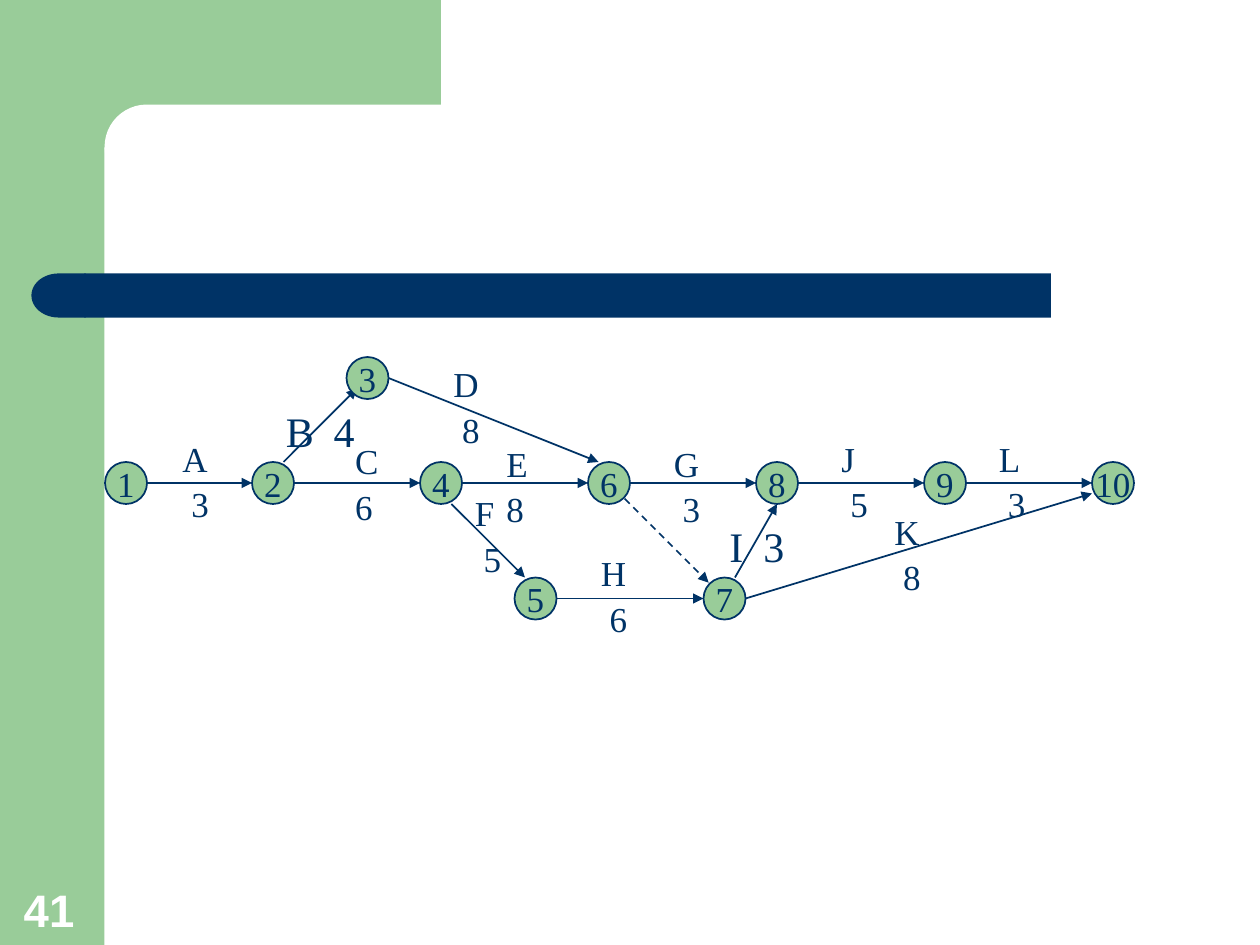
from dataclasses import dataclass

import pptx
import pptx.dml.color
import pptx.enum.dml
import pptx.enum.shapes
import pptx.enum.text
import pptx.oxml.ns
import pptx.util
from lxml import etree

Inches = pptx.util.Inches
Pt = pptx.util.Pt
Shapes = pptx.enum.shapes.MSO_SHAPE
Anchor = pptx.enum.text.MSO_ANCHOR
Align = pptx.enum.text.PP_ALIGN
AutoSize = pptx.enum.text.MSO_AUTO_SIZE
qn = pptx.oxml.ns.qn

COLORS = {"green": "99CC99", "navy": "003366", "white": "FFFFFF"}
GRID = 12  # grid steps per inch for the network
NODE_SIZE = 4  # grid steps
SPACE_INDENT = 0.07  # inches, one space at 20 pt
LABEL_FORMAT = {"name": "Times New Roman", "size": Pt(20)}
PAIR_FORMAT = {"name": "Times New Roman", "size": Pt(24)}
NUMBER_FORMAT = {"name": "Arial", "size": Pt(26), "bold": True}


@dataclass(frozen=True)
class Block:
    kind: int
    box: tuple[float, float, float, float]
    color: str
    corner: float | None = None
    flipped: bool = False


@dataclass(frozen=True)
class Activity:
    """An arrow between events; its ends are grid offsets from their centres."""
    start: int
    end: int
    leave: tuple[float, float] = (2, 0)
    arrive: tuple[float, float] = (-2, 0)
    dashed: bool = False


@dataclass(frozen=True)
class Label:
    name: str
    duration: str
    left: float
    top: float
    name_indent: float = 0
    duration_indent: float = SPACE_INDENT


@dataclass(frozen=True)
class PairLabel:
    """Name and duration on one line, parted by a tab stop."""
    name: str
    duration: str
    left: float
    top: float
    tab: float


BLOCKS = [
    Block(Shapes.RECTANGLE, (0, 0, 0.83, 7.5), "green"),
    Block(Shapes.RECTANGLE, (0.75, 0, 2.75, 1.17), "green"),
    Block(Shapes.ROUNDED_RECTANGLE, (0.83, 0.83, 5.58, 0.67), "white", 0.5),
    Block(Shapes.ROUNDED_RECTANGLE, (0.67, 2.17, 7.67, 0.35), "navy", 0),
    Block(Shapes.FLOWCHART_DELAY, (0.25, 2.17, 0.43, 0.35), "navy", flipped=True),
]

EVENT_CENTRES = {
    1: (12, 46), 2: (26, 46), 3: (35, 36), 4: (42, 46), 5: (51, 57),
    6: (58, 46), 7: (69, 57), 8: (74, 46), 9: (90, 46), 10: (106, 46),
}

ACTIVITIES = [
    Activity(1, 2),
    Activity(2, 3, (1, -2), (-1, 1)),
    Activity(2, 4),
    Activity(4, 6),
    Activity(6, 8),
    Activity(8, 9),
    Activity(9, 10),
    Activity(3, 6, arrive=(-1, -2)),
    Activity(4, 5, (1, 2), (-1, -2)),
    Activity(5, 7),
    Activity(7, 8, (1, -2), (0, 2)),
    Activity(7, 10, arrive=(-2, 1)),
    Activity(6, 7, (1.5, 1.5), (-1.5, -1.5), dashed=True),
]

LABELS = [
    Label("A", "3", 1.35, 3.42),
    Label("C", "6", 2.65, 3.44, name_indent=SPACE_INDENT),
    Label("D", "8", 3.5, 2.83),
    Label("E", "8", 3.92, 3.46, duration_indent=0),
    Label("F", "5", 3.67, 3.85),
    Label("H", "6", 4.67, 4.33),
    Label("G", "3", 5.25, 3.46),
    Label("J", "5", 6.58, 3.42),
    Label("L", "3", 7.83, 3.42),
    Label("K", "8", 7, 4),
]

PAIR_LABELS = [
    PairLabel("B", "4", 2.17, 3.17, 0.38),
    PairLabel("I", "3", 5.69, 4.08, 0.27),
]


def rgb(color: str) -> pptx.dml.color.RGBColor:
    return pptx.dml.color.RGBColor.from_string(COLORS[color])


def format_text(paragraph, text: str, formats: dict, color: str = "navy") -> None:
    paragraph.text = text
    for name, value in formats.items():
        setattr(paragraph.font, name, value)
    paragraph.font.color.rgb = rgb(color)


def add_filled(slide, kind: int, box: tuple, color: str):
    shape = slide.shapes.add_shape(kind, *map(Inches, box))
    shape.shadow.inherit = False
    shape.fill.solid()
    shape.fill.fore_color.rgb = rgb(color)
    shape.line.fill.background()
    return shape


def add_block(slide, block: Block) -> None:
    shape = add_filled(slide, block.kind, block.box, block.color)
    if block.corner is not None:
        shape.adjustments[0] = block.corner
    if block.flipped:
        shape._element.spPr.find(qn("a:xfrm")).set("flipH", "1")


def add_event(slide, number: int, centre: tuple[float, float]) -> None:
    left, top = ((value - NODE_SIZE / 2) / GRID for value in centre)
    size = NODE_SIZE / GRID
    shape = add_filled(slide, Shapes.OVAL, (left, top, size, size), "green")
    shape.line.color.rgb = rgb("navy")
    shape.line.width = Pt(1)
    frame = shape.text_frame
    frame.word_wrap = False
    frame.vertical_anchor = Anchor.MIDDLE
    frame.paragraphs[0].alignment = Align.CENTER
    format_text(frame.paragraphs[0], str(number), LABEL_FORMAT)


def add_activity(slide, activity: Activity) -> None:
    ends = ((activity.start, activity.leave), (activity.end, activity.arrive))
    points = [Inches((centre + offset) / GRID)
              for event, offsets in ends
              for centre, offset in zip(EVENT_CENTRES[event], offsets)]
    connector = slide.shapes.add_connector(
        pptx.enum.shapes.MSO_CONNECTOR.STRAIGHT, *points)
    connector.line.color.rgb = rgb("navy")
    connector.line.width = Pt(1)
    if activity.dashed:
        connector.line.dash_style = pptx.enum.dml.MSO_LINE.DASH
    etree.SubElement(connector.line._get_or_add_ln(), qn("a:tailEnd"), type="triangle")
    etree.SubElement(connector._element.spPr, qn("a:effectLst"))


def add_text_frame(slide, left: float, top: float, width: float, height: float):
    box = slide.shapes.add_textbox(*map(Inches, (left, top, width, height)))
    box.text_frame.word_wrap = True
    return box.text_frame


def add_label(slide, label: Label) -> None:
    frame = add_text_frame(slide, label.left, label.top, 0.5, 0.78)
    frame.auto_size = AutoSize.SHAPE_TO_FIT_TEXT
    name, duration = frame.paragraphs[0], frame.add_paragraph()
    duration.line_spacing = 0.5
    duration.space_before = Pt(12.5)
    for paragraph, text, indent in ((name, label.name, label.name_indent),
                                    (duration, label.duration, label.duration_indent)):
        paragraph._p.get_or_add_pPr().set("marL", str(Inches(indent)))
        format_text(paragraph, text, LABEL_FORMAT)


def add_pair_label(slide, label: PairLabel) -> None:
    frame = add_text_frame(slide, label.left, label.top, 0.83, 0.5)
    frame.auto_size = AutoSize.SHAPE_TO_FIT_TEXT
    paragraph = frame.paragraphs[0]
    tabs = etree.SubElement(paragraph._p.get_or_add_pPr(), qn("a:tabLst"))
    etree.SubElement(tabs, qn("a:tab"), pos=str(Inches(label.tab)), algn="l")
    format_text(paragraph, f"{label.name}\t{label.duration}", PAIR_FORMAT)


def main() -> None:
    presentation = pptx.Presentation()
    presentation.slide_width, presentation.slide_height = Inches(10), Inches(7.5)
    slide = presentation.slides.add_slide(presentation.slide_layouts[6])
    for block in BLOCKS:
        add_block(slide, block)
    for activity in ACTIVITIES:
        add_activity(slide, activity)
    for number, centre in EVENT_CENTRES.items():
        add_event(slide, number, centre)
    for label in LABELS:
        add_label(slide, label)
    for pair_label in PAIR_LABELS:
        add_pair_label(slide, pair_label)
    number_frame = add_text_frame(slide, 0.09, 6.94, 0.64, 0.54)
    number_frame.vertical_anchor = Anchor.BOTTOM
    format_text(number_frame.paragraphs[0], "41", NUMBER_FORMAT, "white")
    presentation.save("out.pptx")


if __name__ == "__main__":
    main()
